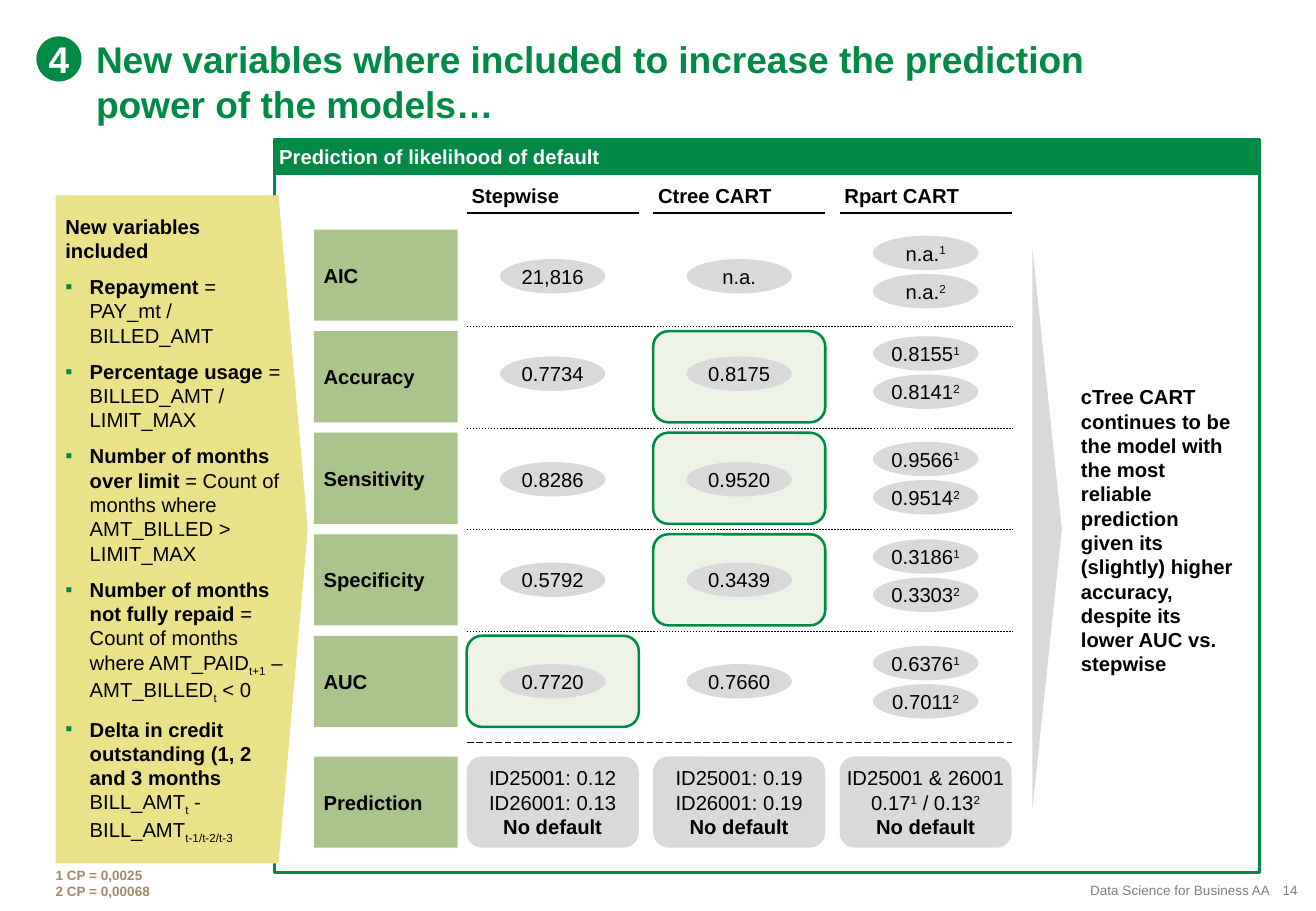
from dataclasses import dataclass

from lxml.etree import SubElement
from pptx import Presentation
from pptx.dml.color import RGBColor
from pptx.enum.dml import MSO_LINE as Dash
from pptx.enum.shapes import MSO_CONNECTOR as Connector, MSO_SHAPE as Shape
from pptx.enum.text import MSO_ANCHOR as Anchor, PP_ALIGN as Align
from pptx.oxml.ns import qn
from pptx.util import Inches, Pt

GREEN = RGBColor(0x00, 0x8A, 0x46)
PALE_GREEN = RGBColor(0xEE, 0xF3, 0xE8)
SAGE = RGBColor(0xAA, 0xC4, 0x8C)
YELLOW = RGBColor(0xE9, 0xE2, 0x88)
SILVER = RGBColor(0xD9, 0xD9, 0xD9)
GREY = RGBColor(0x80, 0x80, 0x80)
BROWN = RGBColor(0xA2, 0x8A, 0x66)
BLACK = RGBColor(0, 0, 0)
WHITE = RGBColor(0xFF, 0xFF, 0xFF)

FONT = "Arial"
WIDTH, HEIGHT = Inches(10.83), Inches(7.5)
COLUMN, ROW = WIDTH / 130, HEIGHT / 90  # grid of 130 columns by 90 rows
BASELINES = {"sup": "30000", "sub": "-25000"}

MODELS = ["Stepwise", "Ctree CART", "Rpart CART"]
MODEL_LEFT, MODEL_STEP, MODEL_WIDTH = 15.1, 18.42, 17
METRIC_TOP, METRIC_STEP, METRIC_HEIGHT = 5.05, 10.03, 9
BUBBLE_WIDTH, BUBBLE_HEIGHT, BUBBLE_STEP = 10.4, 3.4, 3.78
PREDICTION_TOP = 57.1

# metric, single values, pair of values, best model, drop of single, drop of pair
METRICS = [
    ("AIC", ["21,816", "n.a."], ["n.a.", "n.a."], None, 2.9, 0.6),
    ("Accuracy", ["0.7734", "0.8175"], ["0.8155", "0.8141"], 1, 2.5, 0.5),
    ("Sensitivity", ["0.8286", "0.9520"], ["0.9566", "0.9514"], 1, 2.9, 0.9),
    ("Specificity", ["0.5792", "0.3439"], ["0.3186", "0.3303"], 1, 2.8, 0.5),
    ("AUC", ["0.7720", "0.7660"], ["0.6376", "0.7011"], 0, 2.8, 1),
]
VERDICT = [("No default", "b")]
PREDICTIONS = [
    [[("ID25001: 0.12", "")], [("ID26001: 0.13", "")], VERDICT],
    [[("ID25001: 0.19", "")], [("ID26001: 0.19", "")], VERDICT],
    [[("ID25001 & 26001 0.17", ""), ("1", "sup"), (" / 0.13", ""), ("2", "sup")], VERDICT],
]
VARIABLES = [
    [("Repayment", "b"), (" = PAY_mt / BILLED_AMT", "")],
    [("Percentage usage ", "b"), ("= BILLED_AMT / LIMIT_MAX", "")],
    [("Number of months over limit", "b"),
     (" = Count of months where AMT_BILLED > LIMIT_MAX", "")],
    [("Number of months not fully repaid", "b"),
     (" = Count of months where AMT_PAID", ""), ("t+1", "sub"),
     (" – AMT_BILLED", ""), ("t", "sub"), (" < 0", "")],
    [("Delta in credit outstanding (1, 2 and 3 months", "b"), ("", "break"),
     ("BILL_AMT", ""), ("t", "sub"), (" - BILL_AMT", ""), ("t-1/t-2/t-3", "sub")],
]


@dataclass
class Box:
    """A rectangle counted in grid columns and rows."""
    left: float
    top: float
    width: float
    height: float

    def inner(self, left, top, width, height):
        """Return a box placed relative to this one."""
        return Box(self.left + left, self.top + top, width, height)

    def emu(self):
        """Return left, top, width and height as slide lengths."""
        return (round(self.left * COLUMN), round(self.top * ROW),
                round(self.width * COLUMN), round(self.height * ROW))


def write(item, paras, size=12, color=BLACK, align=Align.LEFT, anchor=Anchor.MIDDLE,
          inset=(0, 0), before=0, after=0, wrap=True):
    """Fill a shape with paragraphs of (text, style) spans."""
    frame = item.text_frame
    frame.word_wrap, frame.vertical_anchor = wrap, anchor
    frame.margin_left = frame.margin_right = Inches(inset[0])
    frame.margin_top = frame.margin_bottom = Inches(inset[1])
    for index, spans in enumerate(paras):
        para = frame.add_paragraph() if index else frame.paragraphs[0]
        para.alignment = align
        para.space_before, para.space_after = Pt(before), Pt(after)
        for text, style in spans:
            if style == "break":
                para.add_line_break()
                SubElement(para._p[-1], qn("a:rPr"), sz=str(size * 100))
                continue
            span = para.add_run()
            span.text = text
            span.font.name, span.font.size = FONT, Pt(size)
            span.font.bold = style == "b"
            span.font.color.rgb = color
            if style in BASELINES:
                span._r.get_or_add_rPr().set("baseline", BASELINES[style])


def add_block(page, kind, box, fill, outline=None):
    """Add a flat preset shape."""
    item = page.shapes.add_shape(kind, *box.emu())
    item.shadow.inherit = False
    item.fill.solid()
    item.fill.fore_color.rgb = fill
    if outline is None:
        item.line.fill.background()
    else:
        item.line.color.rgb, item.line.width = outline, Pt(1.5)
    return item


def add_label(page, box, paras, **style):
    """Add a text box."""
    write(page.shapes.add_textbox(*box.emu()), paras, **style)


def add_rule(page, box, weight, dash=None):
    """Add a horizontal line along the top of a box."""
    left, top, width, _ = box.emu()
    rule = page.shapes.add_connector(Connector.STRAIGHT, left, top, left + width, top)
    rule.line.color.rgb, rule.line.width = BLACK, Pt(weight)
    if dash:
        rule.line.dash_style = dash
    SubElement(rule._element.spPr, qn("a:effectLst"))


def add_heading(page, box):
    """Place the title and its numbered badge."""
    title = page.shapes.title
    title.left, title.top, title.width, title.height = box.emu()
    write(title, [[("New variables where included to increase the prediction "
                    "power of the models…", "b")]],
          size=22, color=GREEN, anchor=Anchor.TOP)
    props = title.text_frame.paragraphs[0]._p.get_or_add_pPr()
    props.set("marL", str(Inches(0.49)))
    props.set("indent", "0")
    badge = add_block(page, Shape.OVAL, box.inner(0, 0, 4.45, 4.45), GREEN)
    write(badge, [[("4", "b")]], size=22, color=WHITE, align=Align.CENTER, wrap=False)


def add_panel(page, box):
    """Draw the framed panel with its header bar."""
    add_block(page, Shape.RECTANGLE, box, WHITE, GREEN)
    header = add_block(page, Shape.RECTANGLE, box.inner(0, 0, box.width, 3.4), GREEN, GREEN)
    write(header, [[("Prediction of likelihood of default", "b")]], color=WHITE,
          inset=(0.04, 0.04), before=2.4, after=4)


def add_variables(page, box):
    """Draw the pentagon listing the new variables."""
    pentagon = add_block(page, Shape.PENTAGON, box, YELLOW)
    pentagon.adjustments[0] = 0.116
    write(pentagon, [[("New variables included", "b")]] + VARIABLES,
          inset=(0.08, 0.04), before=3, after=4)
    for para in pentagon.text_frame.paragraphs[1:]:
        props = para._p.get_or_add_pPr()
        props.set("marL", str(Inches(0.2)))
        props.set("indent", str(-Inches(0.2)))
        SubElement(SubElement(props, qn("a:buClr")), qn("a:srgbClr"), val=str(GREEN))
        SubElement(props, qn("a:buFont"), typeface=FONT)
        SubElement(props, qn("a:buChar"), char="▪")


def add_row_label(page, box, name):
    """Draw the green name box at the start of a row."""
    label = add_block(page, Shape.RECTANGLE, box.inner(0, 0, 14.2, METRIC_HEIGHT), SAGE)
    write(label, [[(name, "b")]], inset=(0.08, 0.08), before=2.4, after=4)


def add_bubble(page, cell, drop, spans):
    """Draw a value bubble, centred across its cell."""
    side = (cell.width - BUBBLE_WIDTH) / 2
    bubble = add_block(page, Shape.OVAL,
                       cell.inner(side, drop, BUBBLE_WIDTH, BUBBLE_HEIGHT), SILVER)
    write(bubble, [spans], align=Align.CENTER)


def add_metric(page, box, metric):
    """Draw one metric row: name, best-model frame and bubbles."""
    name, singles, pair, best, single_drop, pair_drop = metric
    add_row_label(page, box, name)
    cells = [box.inner(MODEL_LEFT + MODEL_STEP * i, 0, MODEL_WIDTH, METRIC_HEIGHT)
             for i in range(len(MODELS))]
    if best is not None:
        add_block(page, Shape.ROUNDED_RECTANGLE, cells[best], PALE_GREEN, GREEN)
    for cell, value in zip(cells, singles):
        add_bubble(page, cell, single_drop, [(value, "")])
    for i, value in enumerate(pair):
        add_bubble(page, cells[-1], pair_drop + i * BUBBLE_STEP,
                   [(value, ""), (str(i + 1), "sup")])


def add_comparison(page, box):
    """Lay out model headings, metric rows and the prediction row."""
    span = box.width - MODEL_LEFT
    for i, (model, prediction) in enumerate(zip(MODELS, PREDICTIONS)):
        left = MODEL_LEFT + i * MODEL_STEP
        add_label(page, box.inner(left, 0, MODEL_WIDTH, 3.4), [[(model, "b")]],
                  anchor=Anchor.TOP, inset=(0.04, 0.04), before=2.4, after=4)
        add_rule(page, box.inner(left, 3.4, MODEL_WIDTH, 0), 0.75)
        card = add_block(page, Shape.ROUNDED_RECTANGLE,
                         box.inner(left, PREDICTION_TOP, MODEL_WIDTH, METRIC_HEIGHT), SILVER)
        write(card, prediction, align=Align.CENTER)
    for i, metric in enumerate(METRICS):
        top = METRIC_TOP + i * METRIC_STEP
        add_metric(page, box.inner(0, top, box.width, METRIC_HEIGHT), metric)
        if i < len(METRICS) - 1:
            add_rule(page, box.inner(MODEL_LEFT, top + 9.55, span, 0), 0.25, Dash.DASH)
    add_rule(page, box.inner(MODEL_LEFT, 55.7, span, 0), 0.5, Dash.LONG_DASH)
    add_row_label(page, box.inner(0, PREDICTION_TOP, box.width, METRIC_HEIGHT), "Prediction")


def add_conclusion(page, box):
    """Draw the pointer and the conclusion beside it."""
    pointer = add_block(page, Shape.PENTAGON, box.inner(0, 0, 2.9, box.height), SILVER)
    pointer.adjustments[0] = 1
    add_label(page, box.inner(3.6, 12.8, 17.64, 30.24),
              [[("cTree CART continues to be the model with the most reliable prediction "
                 "given its (slightly) higher accuracy, despite its lower AUC vs. stepwise", "b")]],
              anchor=Anchor.TOP, inset=(0.1, 0.05), before=2.4, after=4)


def add_footer(page, box):
    """Write the footnotes, the course name and the page number."""
    add_label(page, box, [[("1 CP = 0,0025", "b")], [("2 CP = 0,00068", "b")]],
              size=8, color=BROWN, anchor=Anchor.BOTTOM)
    small = {"size": 8, "color": GREY, "anchor": Anchor.BOTTOM, "wrap": False}
    add_label(page, box.inner(101.9, 1.6, 18.1, 1.6),
              [[("Data Science for Business AA", "")]], align=Align.RIGHT, **small)
    add_label(page, box.inner(121.2, 1.6, 1.7, 1.6), [[("14", "")]], **small)


def main():
    """Build and save the deck."""
    deck = Presentation()
    deck.slide_width, deck.slide_height = WIDTH, HEIGHT
    page = deck.slides.add_slide(deck.slide_layouts[5])
    add_heading(page, Box(3.6, 3.6, 104, 8.9))
    add_panel(page, Box(27.1, 13.8, 97.3, 72.4))
    add_variables(page, Box(5.5, 19.3, 24.9, 66))
    add_comparison(page, Box(31, 17.64, 69, 66.1))
    add_conclusion(page, Box(102, 24.6, 21.24, 55.3))
    add_footer(page, Box(5.5, 85.5, 125, 3.3))
    deck.save("out.pptx")


main()
